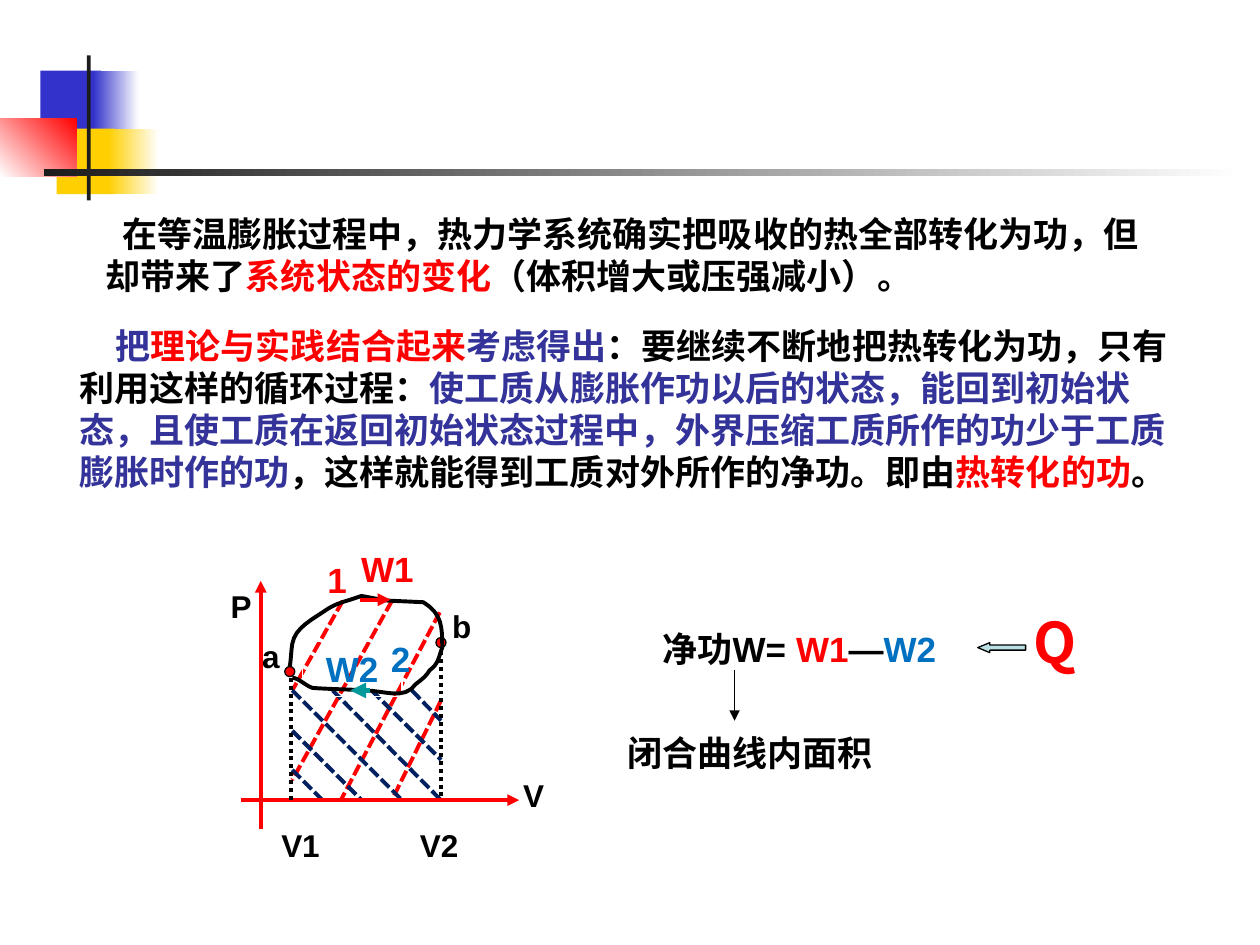
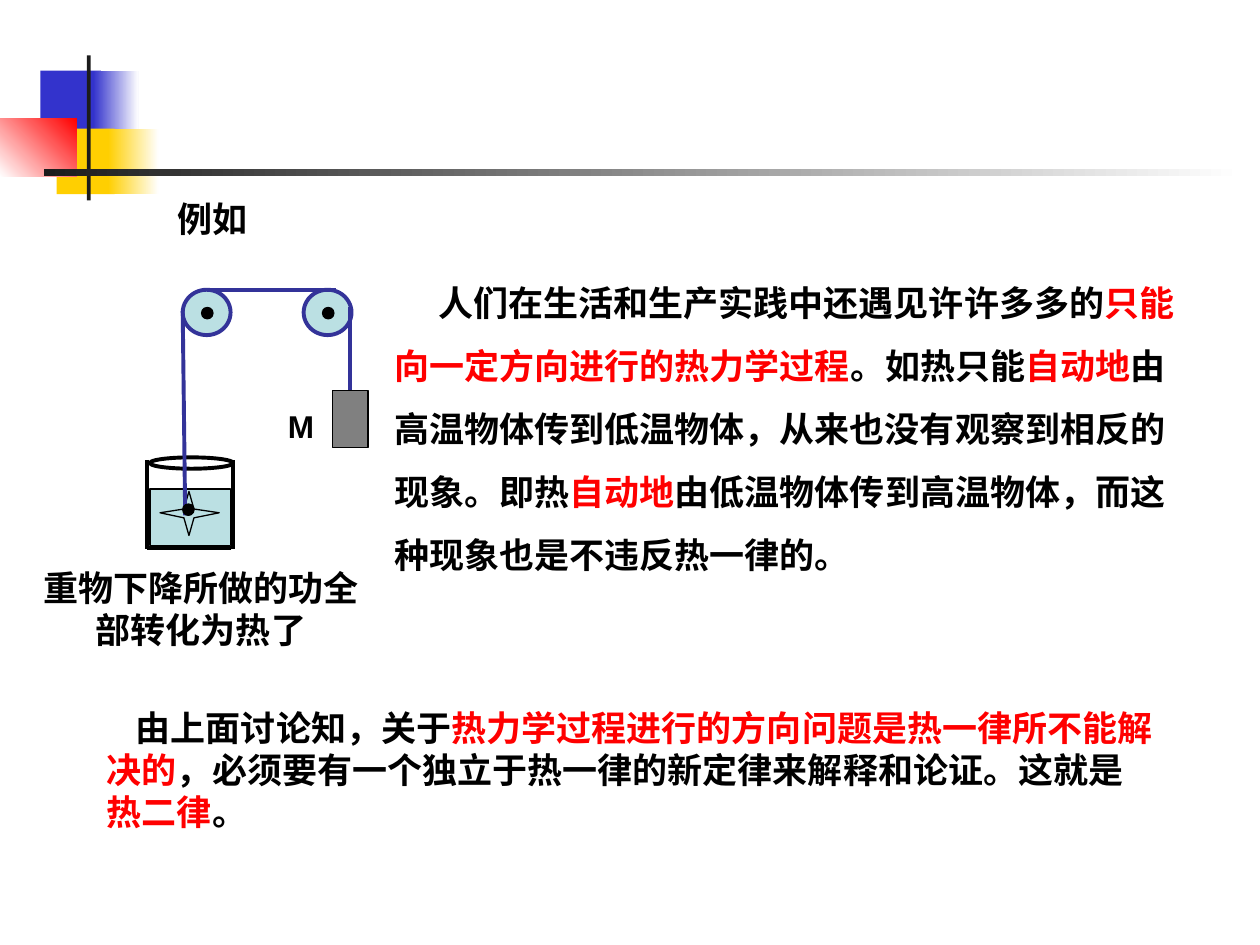
from dataclasses import dataclass

from pptx import Presentation
from pptx.dml.color import RGBColor
from pptx.enum.dml import MSO_LINE
from pptx.enum.shapes import MSO_CONNECTOR, MSO_SHAPE
from pptx.enum.text import PP_ALIGN
from pptx.oxml.ns import qn
from pptx.util import Inches, Pt

RECT, OVAL, LEFT_ARROW = MSO_SHAPE.RECTANGLE, MSO_SHAPE.OVAL, MSO_SHAPE.LEFT_ARROW
STRAIGHT = MSO_CONNECTOR.STRAIGHT
DASH, DOT = MSO_LINE.SQUARE_DOT, MSO_LINE.ROUND_DOT
LEFT, CENTER = PP_ALIGN.LEFT, PP_ALIGN.CENTER


@dataclass(frozen=True)
class Theme:
    black: str = "000000"
    white: str = "FFFFFF"
    red: str = "FF0000"
    indigo: str = "333399"
    sky: str = "0070C0"
    navy: str = "002060"
    teal: str = "009999"
    water: str = "BBE0E3"
    grey: str = "808080"
    square_blue: str = "3333CC"
    square_yellow: str = "FFCF01"
    bar: str = "1C1C1C"
    latin: str = "Arial"
    cjk: str = "Noto Sans CJK SC"
    body: int = 20
    label: int = 18
    heat: int = 32
    thin: float = 0.75
    thick: float = 2.25


T = Theme()

MOTIF = [
    ((0.32, 0.56, 0.48, 0.52), (T.square_blue,), 0),
    ((0.74, 0.56, 0.36, 0.52), (T.square_blue, T.white), 0),
    ((0.45, 1.02, 0.46, 0.52), (T.square_yellow,), 0),
    ((0.86, 1.02, 0.4, 0.52), (T.square_yellow, T.white), 0),
    ((0, 0.94, 0.61, 0.46), (T.white, T.red), 45),
    ((0.69, 0.44, 0.03, 1.15), (T.bar,), 0),
    ((0.35, 1.34, 9.51, 0.06), (T.bar, T.white), 0),
]

CYCLE_PARAGRAPHS = [
    ((0.74, 1.64, 8.59, 0.77), 0.13, 1, [
        ("在等温膨胀过程中，热力学系统确实把吸收的热全部转化为功，但却带来了", T.black),
        ("系统状态的变化", T.red),
        ("（体积增大或压强减小）。", T.black)]),
    ((0.53, 2.53, 9.03, 1.44), 0.29, 1, [
        ("把", T.indigo),
        ("理论与实践结合起来", T.red),
        ("考虑得出", T.indigo),
        ("：要继续不断地把热转化为功，只有利用这样的循环过程：", T.black),
        ("使工质从膨胀作功以后的状态，能回到初始状态，且使工质在返回初始状态过程中，"
         "外界压缩工质所作的功少于工质膨胀时作的功", T.indigo),
        ("，这样就能得到工质对外所作的净功。即由", T.black),
        ("热转化的功", T.red),
        ("。", T.black)]),
    ((5.16, 4.93, 3.62, 0.44), 0, 1, [
        ("净功W= ", T.black), ("W1", T.red), ("—", T.black), ("W2", T.sky)]),
    ((4.88, 5.76, 2.48, 0.44), 0, 1, [("闭合曲线内面积", T.black)]),
]
DIRECTION_PARAGRAPHS = [
    ((3.03, 2.02, 6.54, 2.6), 0.35, 1.5, [
        ("人们在生活和生产实践中还遇见许许多多的", T.black),
        ("只能向一定方向进行的热力学过程", T.red),
        ("。如热只能", T.black),
        ("自动地", T.red),
        ("由高温物体传到低温物体，从来也没有观察到相反的现象。即热", T.black),
        ("自动地", T.red),
        ("由低温物体传到高温物体，而这种现象也是不违反热一律的。", T.black)]),
    ((0.75, 5.56, 8.5, 1.1), 0.23, 1, [
        ("由上面讨论知，关于", T.black),
        ("热力学过程进行的方向问题是热一律所不能解决的", T.red),
        ("，必须要有一个独立于热一律的新定律来解释和论证。这就是", T.black),
        ("热二律", T.red),
        ("。", T.black)]),
]

CYCLE_LABELS = [
    ("W1", (2.72, 4.3, 0.71, 0.44), T.body, T.red),
    ("1", (2.47, 4.38, 0.41, 0.44), T.body, T.red),
    ("2", (2.95, 5.01, 0.46, 0.44), T.body, T.sky),
    ("P", (1.6, 4.61, 0.63, 0.4), T.label, T.black),
    ("V", (3.96, 6.11, 0.55, 0.4), T.label, T.black),
    ("V1", (1.99, 6.51, 0.79, 0.4), T.label, T.black),
    ("V2", (3.09, 6.51, 0.79, 0.4), T.label, T.black),
    ("a", (1.98, 5.01, 0.34, 0.4), T.label, T.black),
    ("b", (3.49, 4.77, 0.34, 0.4), T.label, T.black),
]
RIG_LABELS = [
    ("例如", (1.05, 1.52, 1.28, 0.44), T.body, T.black),
    ("M", (2.11, 3.18, 0.56, 0.4), T.label, T.black),
    ("重物下降所做的功全部转化为热了", (0.24, 4.45, 2.71, 0.77), T.body, T.black),
]

HATCHES = {
    T.red: [(2.72, 4.77, 2.32, 5.48), (3.11, 4.77, 2.32, 6.19),
            (3.49, 4.86, 2.7, 6.36), (3.5, 5.56, 3.11, 6.35)],
    T.navy: [(3.27, 5.48, 3.5, 5.72), (2.95, 5.48, 3.5, 6.03),
             (2.64, 5.48, 3.5, 6.35), (2.32, 5.48, 3.19, 6.35),
             (2.32, 5.8, 2.87, 6.35), (2.32, 6.11, 2.56, 6.35)],
}
AXES = [(2.07, 6.58, 2.07, 4.61), (1.91, 6.35, 4.12, 6.35)]
VOLUME_LINES = [(2.31, 5.32, 2.31, 6.35), (3.5, 5.17, 3.5, 6.35)]
STATES = [(2.26, 5.29), (3.46, 5.06)]
CYCLE_START = (2.3, 5.29)
CYCLE_CURVES = [
    (2.31, 5.23, 2.31, 5.17, 2.32, 5.11), (2.34, 4.98, 2.49, 4.91, 2.59, 4.84),
    (2.65, 4.8, 2.71, 4.78, 2.78, 4.76), (2.81, 4.75, 2.87, 4.73, 2.87, 4.73),
    (3.14, 4.78, 2.98, 4.76, 3.36, 4.78), (3.51, 4.87, 3.51, 4.98, 3.51, 5.14),
    (3.48, 5.22, 3.48, 5.27, 3.41, 5.32), (3.38, 5.37, 3.35, 5.39, 3.3, 5.43),
    (3.21, 5.56, 3.05, 5.48, 2.89, 5.48), (2.75, 5.47, 2.61, 5.47, 2.48, 5.46),
    (2.42, 5.44, 2.37, 5.38, 2.32, 5.38),
]
CURVE_STEPS = 8

BEAKER_WALLS = [(1.17, 3.65, 1.17, 4.36), (1.17, 4.35, 1.83, 4.35), (1.85, 4.36, 1.85, 3.65)]
PADDLE = [(1.27, 4.07), (1.46, 4.04), (1.5, 3.9), (1.54, 4.04),
          (1.74, 4.07), (1.54, 4.11), (1.5, 4.25), (1.46, 4.11)]
PULLEYS = [(1.45, 2.3), (2.41, 2.3)]
ROPES = [(1.47, 4.09, 1.45, 2.47), (1.64, 2.3, 2.67, 2.3)]
WEIGHT = (2.64, 3.1, 0.28, 0.45)
WEIGHT_ROPE = (2.78, 2.44, 2.78, 3.1)
PIVOTS = [(1.45, 4), (1.6, 2.44), (2.56, 2.44)]


def rgb(color):
    return RGBColor.from_string(color)


def style_shape(sp, fill=None, line=None, width=T.thin):
    sp.shadow.inherit = False
    if fill:
        sp.fill.solid()
        sp.fill.fore_color.rgb = rgb(fill)
    else:
        sp.fill.background()
    if line:
        sp.line.color.rgb = rgb(line)
        sp.line.width = Pt(width)
    else:
        sp.line.fill.background()
    return sp


def add_shape(s, kind, box, fill=None, line=None, width=T.thin):
    sp = s.shapes.add_shape(kind, *map(Inches, box))
    return style_shape(sp, fill, line, width)


def add_line(s, ends, color, width=T.thick, dash=None, arrow=False):
    cn = s.shapes.add_connector(STRAIGHT, *map(Inches, ends))
    cn.line.color.rgb = rgb(color)
    cn.line.width = Pt(width)
    if dash:
        cn.line.dash_style = dash
    pr = cn._element.spPr
    if arrow:
        ln = pr.find(qn("a:ln"))
        ln.append(ln.makeelement(qn("a:tailEnd"), {"type": "triangle"}))
    pr.append(pr.makeelement(qn("a:effectLst"), {}))
    return cn


def add_outline(s, points, closed, fill, line, width):
    pts = [(Inches(x), Inches(y)) for x, y in points]
    fb = s.shapes.build_freeform(*pts[0])
    fb.add_line_segments(pts[1:], close=closed)
    return style_shape(fb.convert_to_shape(), fill, line, width)


def add_text(s, box, runs, size=T.body, align=LEFT, indent=0, spacing=1, latin=T.latin):
    sp = s.shapes.add_textbox(*map(Inches, box))
    tf = sp.text_frame
    tf.word_wrap = True
    p = tf.paragraphs[0]
    p.alignment = align
    p.line_spacing = spacing
    ppr = p._p.get_or_add_pPr()
    ppr.set("indent", str(Inches(indent)))
    ppr.set("hangingPunct", "0")
    for text, color in runs:
        r = p.add_run()
        r.text = text
        r.font.name = latin
        r.font.size = Pt(size)
        r.font.bold = True
        r.font.color.rgb = rgb(color)
        pr = r._r.get_or_add_rPr()
        pr.append(pr.makeelement(qn("a:ea"), {"typeface": T.cjk}))
    return sp


def add_labels(s, labels):
    for text, box, size, color in labels:
        add_text(s, box, [(text, color)], size, CENTER)


def add_slide(prs, paragraphs):
    s = prs.slides.add_slide(prs.slide_layouts[6])
    for box, colors, angle in MOTIF:
        sp = add_shape(s, RECT, box, colors[0])
        if len(colors) == 2:
            sp.fill.gradient()
            sp.fill.gradient_angle = angle
            for stop, color in zip(sp.fill.gradient_stops, colors):
                stop.color.rgb = rgb(color)
    for box, indent, spacing, runs in paragraphs:
        add_text(s, box, runs, indent=indent, spacing=spacing)
    return s


def cycle_points():
    points = [CYCLE_START]
    for x1, y1, x2, y2, x3, y3 in CYCLE_CURVES:
        x0, y0 = points[-1]
        for i in range(1, CURVE_STEPS + 1):
            t = i / CURVE_STEPS
            u = 1 - t
            weights = (u ** 3, 3 * u * u * t, 3 * u * t * t, t ** 3)
            points.append(tuple(sum(w * c for w, c in zip(weights, axis))
                                for axis in ((x0, x1, x2, x3), (y0, y1, y2, y3))))
    return points


def draw_cycle(s):
    for color, hatch in HATCHES.items():
        for ends in hatch:
            add_line(s, ends, color, dash=DASH)
    w2 = add_text(s, (2.4, 5.09, 0.79, 0.44), [("W2", T.sky)], align=CENTER)
    w2.line.color.rgb = rgb(T.white)
    w2.line.width = Pt(T.thin)
    for ends in AXES:
        add_line(s, ends, T.red, arrow=True)
    for ends in VOLUME_LINES:
        add_line(s, ends, T.black, dash=DOT)
    for x, y in STATES:
        add_shape(s, OVAL, (x, y, 0.08, 0.08), T.red, T.black)
    add_outline(s, cycle_points(), False, None, T.black, T.thick)
    add_line(s, (2.86, 4.76, 3.1, 4.76), T.red, 2.5, arrow=True)
    add_line(s, (2.94, 5.48, 2.78, 5.48), T.teal, 3, arrow=True)
    add_labels(s, CYCLE_LABELS)


def draw_net_work(s):
    add_line(s, (5.83, 5.32, 5.83, 5.72), T.black, T.thin, arrow=True)
    add_text(s, (8.04, 4.77, 0.66, 0.64), [("Q", T.red)], T.heat, CENTER, latin=T.cjk)
    heat_arrow = add_shape(s, LEFT_ARROW, (7.76, 5.1, 0.38, 0.08), T.water, T.black)
    heat_arrow.adjustments[1] = 1.2


def draw_rig(s):
    add_shape(s, OVAL, (1.19, 3.63, 0.66, 0.09), T.white, T.black, T.thick)
    for ends in BEAKER_WALLS:
        add_line(s, ends, T.black)
    add_shape(s, RECT, (1.19, 3.88, 0.64, 0.45), T.water, T.black)
    add_outline(s, PADDLE, True, T.water, T.black, T.thin)
    for x, y in PULLEYS:
        add_shape(s, OVAL, (x, y, 0.38, 0.36), T.water, T.indigo, T.thick)
    for ends in ROPES:
        add_line(s, ends, T.indigo)
    rope = add_line(s, WEIGHT_ROPE, T.indigo)
    weight = add_shape(s, RECT, WEIGHT, T.grey, T.black)
    rope.end_connect(weight, 0)
    for x, y in PIVOTS:
        add_shape(s, OVAL, (x, y, 0.09, 0.09), T.black, T.black)
    add_labels(s, RIG_LABELS)


def main():
    prs = Presentation()
    prs.slide_width, prs.slide_height = Inches(10), Inches(7.5)
    s = add_slide(prs, CYCLE_PARAGRAPHS)
    draw_cycle(s)
    draw_net_work(s)
    draw_rig(add_slide(prs, DIRECTION_PARAGRAPHS))
    prs.save("out.pptx")


if __name__ == "__main__":
    main()
